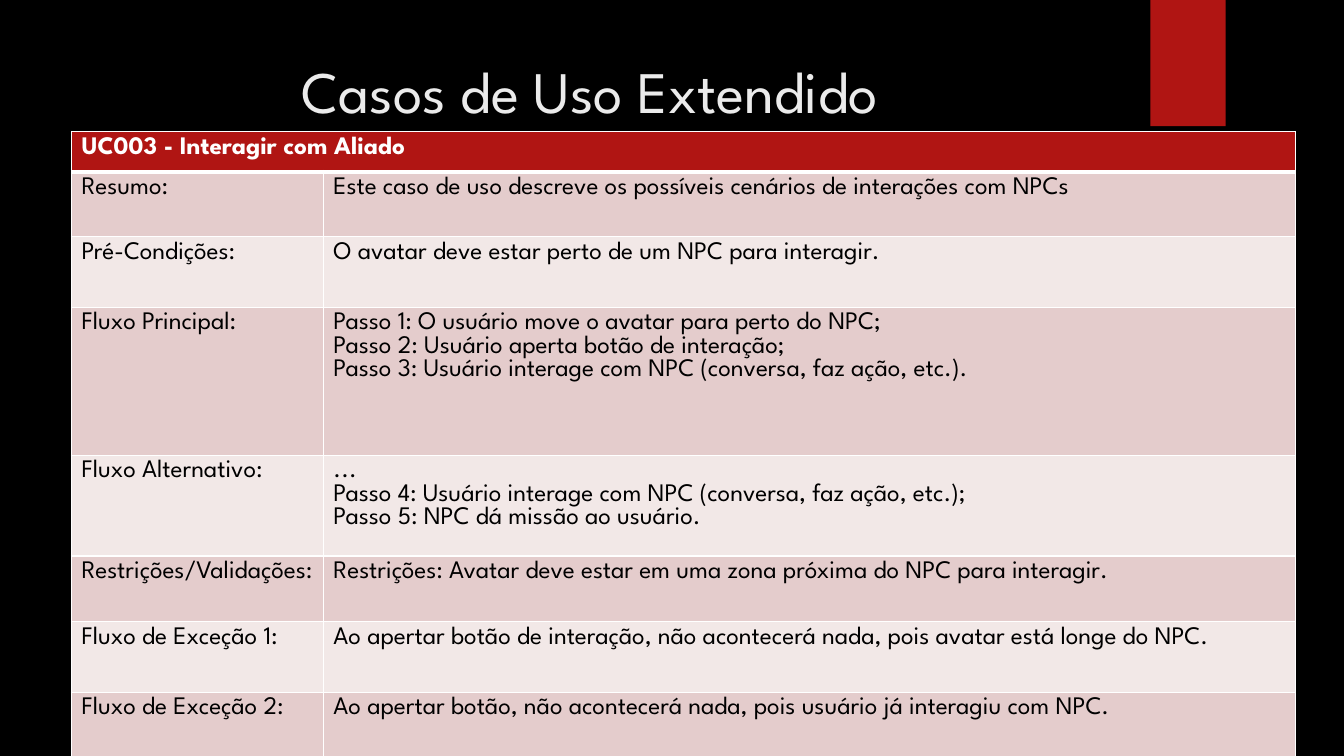
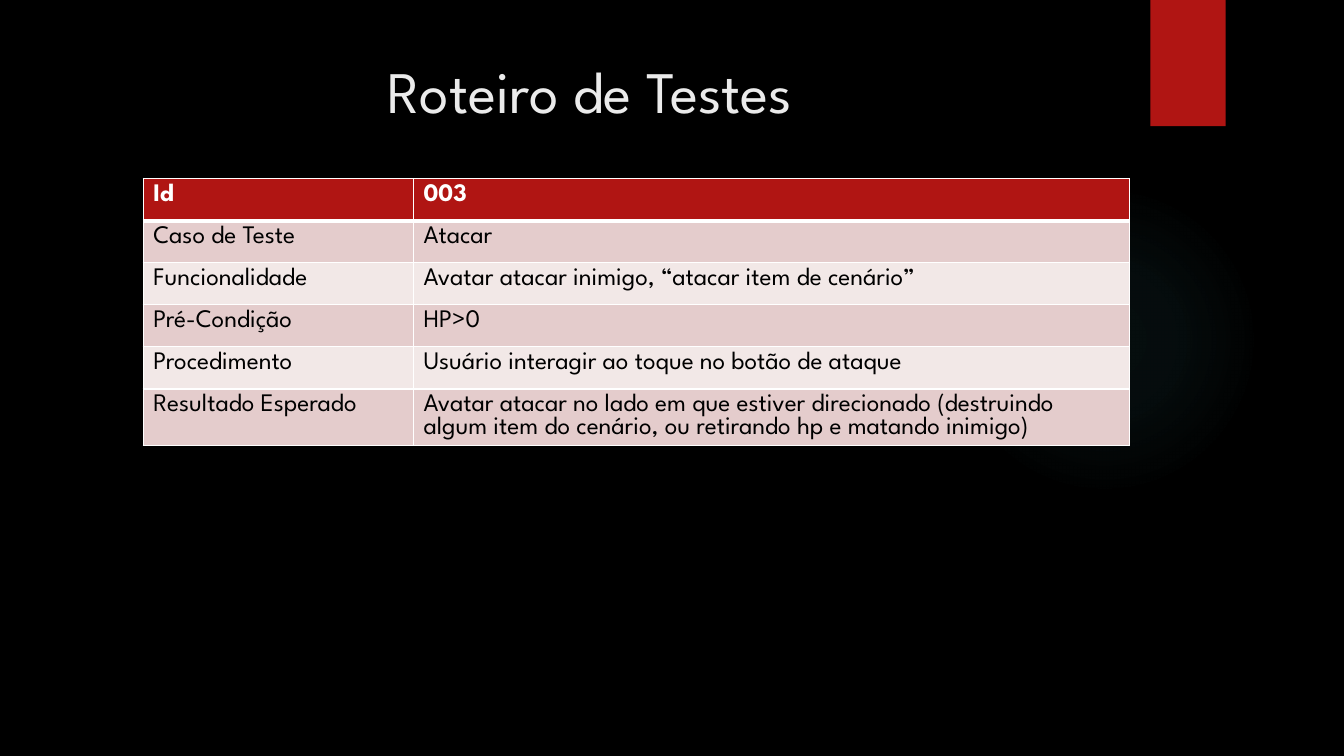
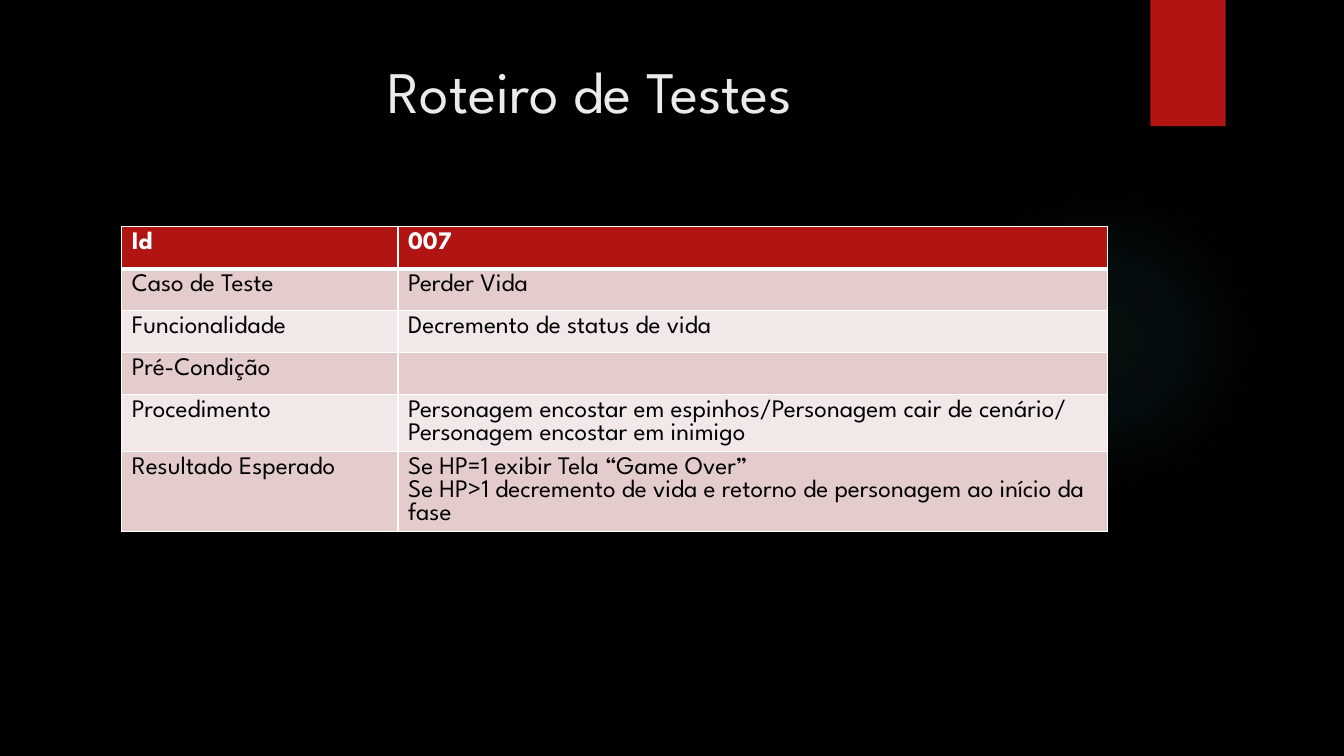
from dataclasses import dataclass

from lxml.etree import SubElement as Sub
from pptx import Presentation
from pptx.dml.color import RGBColor as Rgb
from pptx.enum.shapes import MSO_SHAPE as Kind
from pptx.enum.text import MSO_ANCHOR as Anchor, MSO_AUTO_SIZE as Fit, PP_ALIGN as Align
from pptx.oxml.ns import qn
from pptx.util import Cm, Pt


@dataclass(frozen=True)
class Theme:
    """Colours and type sizes of the deck."""
    font: str = "League Spartan"
    back: str = "000000"
    red: str = "B01513"
    glow: str = "50B9C1"
    title: str = "EBEBEB"
    head: str = "FFFFFF"
    ink: str = "000000"
    line: str = "FFFFFF"
    bands: tuple = ("E4CCCC", "F2E8E7")
    big: int = 42
    small: int = 18
    thin: int = 1
    thick: int = 3


@dataclass(frozen=True)
class Box:
    """A region of the slide in centimetres."""
    left: float
    top: float
    width: float
    height: float

    def emu(self):
        """Return the four lengths for a shape call."""
        return [Cm(n) for n in (self.left, self.top, self.width, self.height)]


THEME = Theme()
SIZE = (33.87, 19.05)
TITLE = Box(1.8, 1.27, 26.14, 3.89)
GLOW = Box(23.92, 4.65, 7.82, 7.82)
TAB = Box(28.99, 0, 1.9, 3.18)
ROW = 1.06

USE = [
    (1.02, "UC003 - Interagir com Aliado"),
    (1.63, "Resumo:", "Este caso de uso descreve os possíveis cenários de interações com NPCs"),
    (1.78, "Pré-Condições:", "O avatar deve estar perto de um NPC para interagir."),
    (3.73, "Fluxo Principal:",
     "Passo 1: O usuário move o avatar para perto do NPC;\n"
     "Passo 2: Usuário aperta botão de interação;\n"
     "Passo 3: Usuário interage com NPC (conversa, faz ação, etc.)."),
    (2.54, "Fluxo Alternativo:",
     "...\n"
     "Passo 4: Usuário interage com NPC (conversa, faz ação, etc.);\n"
     "Passo 5: NPC dá missão ao usuário."),
    (1.65, "Restrições/Validações:",
     "Restrições: Avatar deve estar em uma zona próxima do NPC para interagir."),
    (1.78, "Fluxo de Exceção 1:",
     "Ao apertar botão de interação, não acontecerá nada, pois avatar está longe do NPC."),
    (1.65, "Fluxo de Exceção 2:",
     "Ao apertar botão, não acontecerá nada, pois usuário já interagiu com NPC."),
]
LABELS = ("Id", "Caso de Teste", "Funcionalidade", "Pré-Condição", "Procedimento",
          "Resultado Esperado")
ATTACK = ("003", "Atacar", "Avatar atacar inimigo, “atacar item de cenário”", "HP>0",
          "Usuário interagir ao toque no botão de ataque",
          "Avatar atacar no lado em que estiver direcionado (destruindo algum item do "
          "cenário, ou retirando hp e matando inimigo)")
LOSS = ("007", "Perder Vida", "Decremento de status de vida", "",
        "Personagem encostar em espinhos/Personagem cair de cenário/ "
        "Personagem encostar em inimigo",
        "Se HP=1 exibir Tela “Game Over”\n"
        "Se HP>1 decremento de vida e retorno de personagem ao início da fase")


def write(frame, text, size=THEME.small, color=THEME.ink, bold=False, align=Align.LEFT):
    """Fill a text frame, one paragraph per line of text."""
    frame.text = text
    for para in frame.paragraphs:
        para.alignment = align
        for run in para.runs:
            font = run.font
            font.name, font.size, font.bold = THEME.font, Pt(size), bold
            font.color.rgb = Rgb.from_string(color)


def tint(node, color, alpha=100):
    """Add a colour with its opacity in percent."""
    tone = Sub(node, qn("a:srgbClr"), val=color)
    if alpha < 100:
        Sub(tone, qn("a:alpha"), val=str(alpha * 1000))


def shape(slide, kind, box):
    """Add a plain red shape without line or shadow."""
    art = slide.shapes.add_shape(kind, *box.emu())
    art.shadow.inherit = False
    art.fill.solid()
    art.fill.fore_color.rgb = Rgb.from_string(THEME.red)
    art.line.fill.background()
    return art


def glow(slide, box):
    """Add the faint round light."""
    art = shape(slide, Kind.OVAL, box)
    props = art._element.spPr
    old = props.find(qn("a:solidFill"))
    grad = Sub(props, qn("a:gradFill"), rotWithShape="1")
    props.replace(old, grad)
    stops = Sub(grad, qn("a:gsLst"))
    for pos, alpha in ((0, 7), (36, 6), (69, 0)):
        tint(Sub(stops, qn("a:gs"), pos=str(pos * 1000)), THEME.glow, alpha)
    ring = Sub(grad, qn("a:path"), path="circle")
    Sub(ring, qn("a:fillToRect"), **dict.fromkeys("ltrb", "50000"))
    return art


def tab(slide, box):
    """Add the red tab with its soft shadow."""
    art = shape(slide, Kind.RECTANGLE, box)
    effect = art._element.spPr.find(qn("a:effectLst"))
    shade = Sub(effect, qn("a:outerShdw"), blurRad=str(Pt(3)), dist=str(Pt(2)),
                dir="5400000", algn="ctr", rotWithShape="0")
    tint(shade, THEME.back, 45)
    return art


def brand(slide, layout):
    """Give the layout its background, shared shapes and title box."""
    fill = layout.background.fill
    fill.solid()
    fill.fore_color.rgb = Rgb.from_string(THEME.back)
    for rank, art in enumerate((glow(slide, GLOW), tab(slide, TAB))):
        art._element.nvSpPr.cNvPr.set("id", str(20 + rank))
        layout.shapes._spTree.insert(2 + rank, art._element)
    name = layout.placeholders[0]
    name.left, name.top, name.width, name.height = TITLE.emu()
    frame = name.text_frame
    frame.vertical_anchor = Anchor.TOP
    frame.margin_top = Cm(0.12)
    frame.auto_size = Fit.NONE


def edge(cell, row):
    """Draw the borders of a cell, thick below the header."""
    props = cell._tc.get_or_add_tcPr()
    for side in "LRTB":
        heavy = (row, side) in ((0, "B"), (1, "T"))
        width = THEME.thick if heavy else THEME.thin
        line = Sub(props, qn(f"a:ln{side}"), w=str(Pt(width)))
        tint(Sub(line, qn("a:solidFill")), THEME.line)


def grid(slide, left, top, cols, rows):
    """Add a banded table; a row with one text spans all columns."""
    box = Box(left, top, sum(cols), sum(row[0] for row in rows))
    table = slide.shapes.add_table(len(rows), len(cols), *box.emu()).table
    for col, width in zip(table.columns, cols):
        col.width = Cm(width)
    for i, (height, *texts) in enumerate(rows):
        table.rows[i].height = Cm(height)
        head = i == 0
        cells = list(table.rows[i].cells)
        if len(texts) < len(cells):
            cells[0].merge(cells[-1])
        for cell in cells:
            edge(cell, i)
            cell.fill.solid()
            band = THEME.red if head else THEME.bands[(i - 1) % 2]
            cell.fill.fore_color.rgb = Rgb.from_string(band)
        for cell, text in zip(cells, texts):
            write(cell.text_frame, text, bold=head, color=THEME.head if head else THEME.ink)


def page(deck, layout, title, *table):
    """Add a slide with a title and a table."""
    slide = deck.slides.add_slide(layout)
    write(slide.shapes.title.text_frame, title, size=THEME.big, color=THEME.title,
          align=Align.CENTER)
    grid(slide, *table)
    return slide


def test(values):
    """Return the rows of a test script table."""
    return [(ROW, *pair) for pair in zip(LABELS, values)]


def main():
    """Build and save the deck."""
    deck = Presentation()
    deck.slide_width, deck.slide_height = [Cm(n) for n in SIZE]
    layout = deck.slide_layouts[5]
    first = page(deck, layout, "Casos de Uso Extendido", 1.8, 3.31, (6.35, 24.49), USE)
    brand(first, layout)
    page(deck, layout, "Roteiro de Testes", 3.61, 4.5, (6.81, 18.05), test(ATTACK))
    page(deck, layout, "Roteiro de Testes", 3.07, 5.71, (6.96, 17.88), test(LOSS))
    deck.save("out.pptx")


if __name__ == "__main__":
    main()
